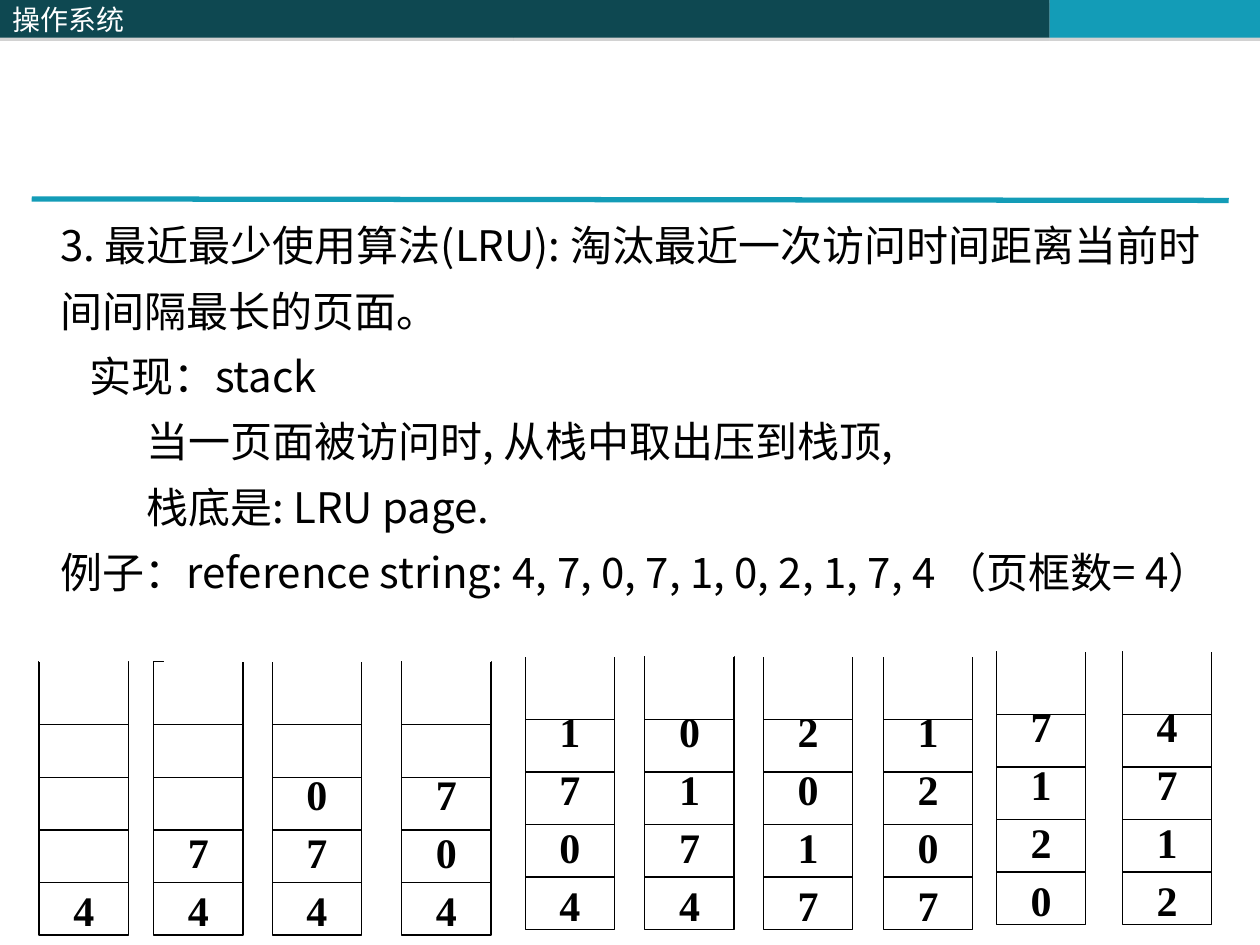
from dataclasses import dataclass

from lxml import etree
from pptx import Presentation
from pptx import util as u
from pptx.dml.color import RGBColor
from pptx.enum import shapes, text
from pptx.oxml import ns


@dataclass(frozen=True)
class Theme:
    dark: str = "0E4851"
    accent: str = "139CB7"
    black: str = "000000"
    white: str = "FFFFFF"
    shadow: str = "808080"
    sans: str = "Noto Sans CJK SC"
    serif: str = "Times New Roman"
    header_size: float = 16
    body_size: float = 24
    body_spacing: float = 37.3
    stack_spacing: float = 1.15
    thin: float = 0.75
    rule: float = 3


@dataclass(frozen=True)
class Bar:
    left: float
    width: float
    color: str
    label: str = ""


@dataclass(frozen=True)
class Line:
    words: str
    indent: float = 0


@dataclass(frozen=True)
class Stack:
    left: float
    top: float
    pages: str
    lid_shift: float = 0


THEME = Theme()
BAR_HEIGHT = 0.76
STACK_WIDTH, STACK_HEIGHT = 1.8, 5.51
FIRST_DIVIDER, DIVIDER_STEP, DIVIDERS = 1.27, 1.06, 4

BARS = [
    Bar(10.36, 10.8, THEME.dark),
    Bar(21.16, 4.24, THEME.accent),
    Bar(0, 10.36, THEME.dark, "操作系统"),
]
BODY = [
    Line("3. 最近最少使用算法(LRU): 淘汰最近一次访问时间距离当前时间间隔最长的页面。"),
    Line("实现：stack", 0.58),
    Line("当一页面被访问时, 从栈中取出压到栈顶,", 1.73),
    Line("栈底是: LRU page.", 1.73),
    Line("例子：reference string: 4, 7, 0, 7, 1, 0, 2, 1, 7, 4 （页框数= 4）"),
]
STACKS = [
    Stack(0.79, 13.34, "4"),
    Stack(3.1, 13.34, "74", 0.2),
    Stack(5.49, 13.34, "074"),
    Stack(8.1, 13.34, "704"),
    Stack(10.59, 13.23, "1704"),
    Stack(13, 13.23, "0174"),
    Stack(15.39, 13.23, "2017"),
    Stack(17.81, 13.23, "1207"),
    Stack(20.09, 13.13, "7120"),
    Stack(22.63, 13.13, "4712"),
]


def add_run(paragraph, words: str, font: str, size: float, color: str, bold: bool = False) -> None:
    run = paragraph.add_run()
    run.text = words
    run.font.name = font
    run.font.size = u.Pt(size)
    run.font.bold = bold
    run.font.color.rgb = RGBColor.from_string(color)
    properties = run.font._element
    etree.SubElement(properties, ns.qn("a:ea"), typeface=font)


def add_line(container, left: float, top: float, right: float, bottom: float, color: str, width: float) -> None:
    connector = container.add_connector(
        shapes.MSO_CONNECTOR.STRAIGHT, u.Cm(left), u.Cm(top), u.Cm(right), u.Cm(bottom))
    connector.line.color.rgb = RGBColor.from_string(color)
    connector.line.width = u.Pt(width)
    etree.SubElement(connector._element.spPr, ns.qn("a:effectLst"))


def add_rectangle(container, left: float, top: float, width: float, height: float):
    shape = container.add_shape(
        shapes.MSO_SHAPE.RECTANGLE, u.Cm(left), u.Cm(top), u.Cm(width), u.Cm(height))
    shape.shadow.inherit = False
    return shape


def add_bar(slide, bar: Bar) -> None:
    shape = add_rectangle(slide.shapes, bar.left, 0, bar.width, BAR_HEIGHT)
    shape.fill.solid()
    shape.fill.fore_color.rgb = RGBColor.from_string(bar.color)
    shape.line.fill.background()
    effects = shape._element.spPr.find(ns.qn("a:effectLst"))
    shadow = etree.SubElement(effects, ns.qn("a:outerShdw"), dist=str(u.Pt(1.8)), dir="5400000")
    color = etree.SubElement(shadow, ns.qn("a:srgbClr"), val=THEME.shadow)
    etree.SubElement(color, ns.qn("a:alpha"), val="35000")
    if bar.label:
        frame = shape.text_frame
        frame.vertical_anchor = text.MSO_ANCHOR.MIDDLE
        paragraph = frame.paragraphs[0]
        paragraph.alignment = text.PP_ALIGN.LEFT
        add_run(paragraph, bar.label, THEME.sans, THEME.header_size, THEME.white)


def add_body(slide, lines: list[Line]) -> None:
    frame = slide.shapes.add_textbox(u.Cm(0.97), u.Cm(4.01), u.Cm(24.26), u.Cm(9.5)).text_frame
    frame.word_wrap = True
    for index, line in enumerate(lines):
        paragraph = frame.add_paragraph() if index else frame.paragraphs[0]
        paragraph.line_spacing = u.Pt(THEME.body_spacing)
        if line.indent:
            paragraph._p.get_or_add_pPr().set("marL", str(u.Cm(line.indent)))
        add_run(paragraph, line.words, THEME.sans, THEME.body_size, THEME.black)


def add_stack(slide, stack: Stack) -> None:
    group = slide.shapes.add_group_shape()
    shape = add_rectangle(group.shapes, stack.left, stack.top, STACK_WIDTH, STACK_HEIGHT)
    shape.fill.background()
    shape.line.color.rgb = RGBColor.from_string(THEME.black)
    shape.line.width = u.Pt(THEME.thin)
    frame = shape.text_frame
    frame.word_wrap = False
    frame.vertical_anchor = text.MSO_ANCHOR.BOTTOM
    frame.margin_bottom = 0
    for index, page in enumerate(stack.pages):
        paragraph = frame.add_paragraph() if index else frame.paragraphs[0]
        paragraph.alignment = text.PP_ALIGN.CENTER
        paragraph.line_spacing = THEME.stack_spacing
        add_run(paragraph, page, THEME.serif, THEME.body_size, THEME.black, bold=True)
    for index in range(DIVIDERS):
        height = stack.top + FIRST_DIVIDER + index * DIVIDER_STEP
        add_line(group.shapes, stack.left, height, stack.left + STACK_WIDTH, height, THEME.black, THEME.thin)
    lid = stack.left + stack.lid_shift
    add_line(group.shapes, lid, stack.top, lid + STACK_WIDTH, stack.top, THEME.white, THEME.thin)


def main() -> None:
    presentation = Presentation()
    presentation.slide_width = u.Cm(25.4)
    presentation.slide_height = u.Cm(19.05)
    slide = presentation.slides.add_slide(presentation.slide_layouts[6])
    for bar in BARS:
        add_bar(slide, bar)
    add_line(slide.shapes, 0.64, 4.01, 24.77, 4.04, THEME.accent, THEME.rule)
    add_body(slide, BODY)
    for stack in STACKS:
        add_stack(slide, stack)
    presentation.save("out.pptx")


if __name__ == "__main__":
    main()
